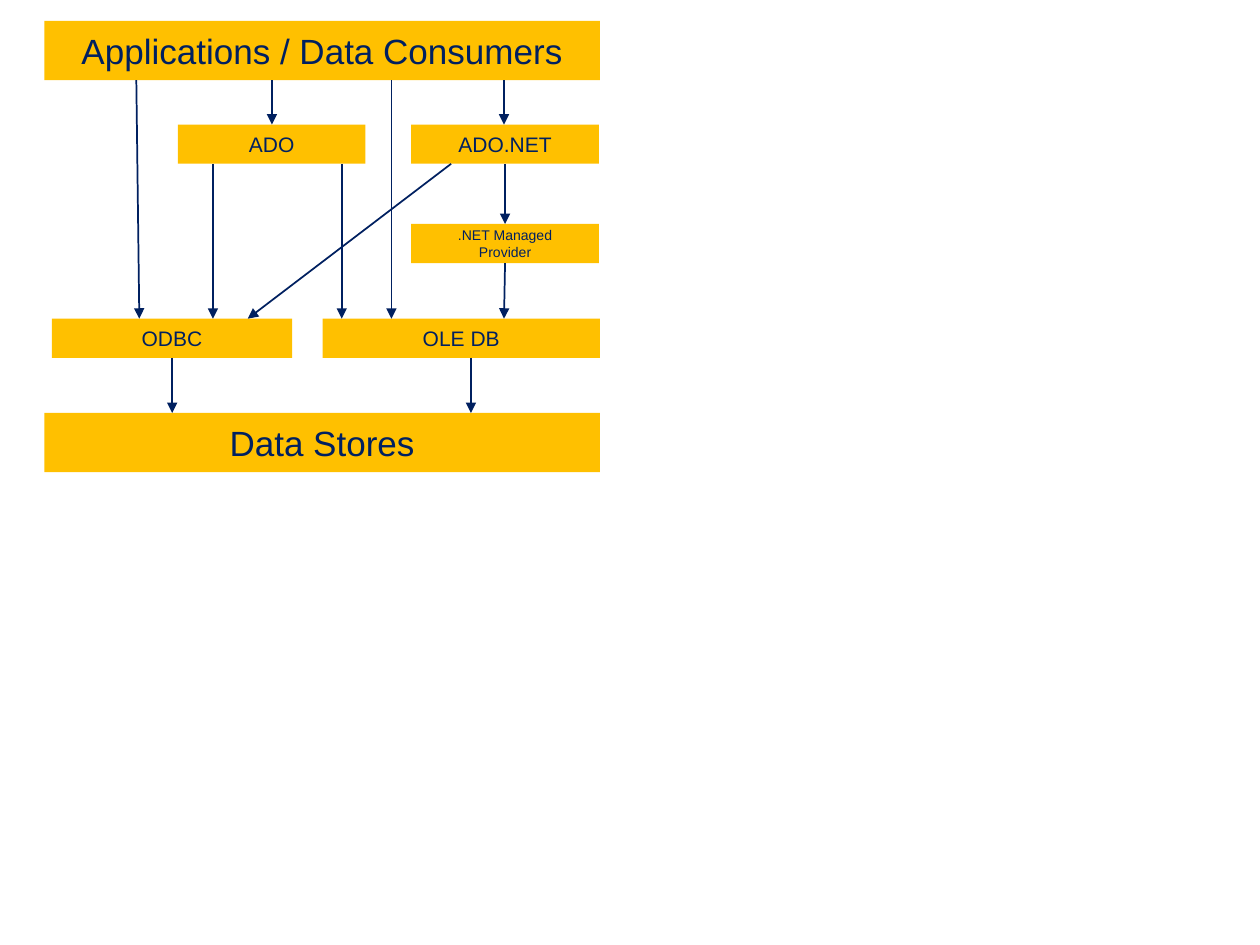
from pptx import Presentation
from pptx.dml.color import RGBColor
from pptx.enum.shapes import MSO_CONNECTOR, MSO_SHAPE
from pptx.enum.text import MSO_ANCHOR, PP_ALIGN
from pptx.oxml.ns import qn
from pptx.util import Pt
from lxml.etree import SubElement

AMBER = RGBColor(0xFF, 0xC0, 0x00)
NAVY = RGBColor(0x00, 0x20, 0x60)

deck = Presentation()
deck.slide_width, deck.slide_height = Pt(720), Pt(540)
page = deck.slides.add_slide(deck.slide_layouts[6])

# Rows of the diagram: top and bottom edges
BAR, BOX = 33.8, 22.4
APPS, ADO, PROVIDER, DRIVERS, STORES = 12, 71.2, 128, 182.1, 236
APPS_END, ADO_END = APPS + BAR, ADO + BOX
PROVIDER_END, DRIVERS_END = PROVIDER + BOX, DRIVERS + BOX

# Boxes: text, left, top, width, height, font size
boxes = [
    ("Applications / Data Consumers", 25.4, APPS, 317.4, BAR, 20),
    ("ADO", 101.6, ADO, 107.3, BOX, 12),
    ("ADO.NET", 235, ADO, 107.3, BOX, 12),
    ("ODBC", 29.6, DRIVERS, 137.4, BOX, 12),
    ("OLE DB", 184.4, DRIVERS, 158.4, BOX, 12),
    (".NET Managed\nProvider", 235, PROVIDER, 107.3, BOX, 8),
    ("Data Stores", 25.4, STORES, 317.4, BAR, 20),
]
frame_format = {
    "margin_left": 0, "margin_top": 0, "margin_right": 0, "margin_bottom": 0,
    "vertical_anchor": MSO_ANCHOR.MIDDLE, "word_wrap": True,
}
for text, left, top, width, height, size in boxes:
    box = page.shapes.add_shape(
        MSO_SHAPE.RECTANGLE, Pt(left), Pt(top), Pt(width), Pt(height))
    box.shadow.inherit = False
    box.fill.solid()
    box.fill.fore_color.rgb = AMBER
    box.line.fill.background()
    frame = box.text_frame
    for name, value in frame_format.items():
        setattr(frame, name, value)
    frame.text = text
    for para in frame.paragraphs:
        para.alignment = PP_ALIGN.CENTER
        for span in para.runs:
            span.font.name = "Arial"
            span.font.size = Pt(size)
            span.font.color.rgb = NAVY

# Arrows: start x, start y, end x, end y
arrows = [
    (77.9, APPS_END, 79.6, DRIVERS),
    (155.4, APPS_END, 155.4, ADO),
    (121.7, ADO_END, 121.7, DRIVERS),
    (195.3, ADO_END, 195.3, DRIVERS),
    (288, APPS_END, 288, ADO),
    (223.7, APPS_END, 223.7, DRIVERS),
    (288.6, ADO_END, 288.6, PROVIDER),
    (257.8, ADO_END, 141.6, DRIVERS),
    (288.6, PROVIDER_END, 288, DRIVERS),
    (98.4, DRIVERS_END, 98.4, STORES),
    (269.1, DRIVERS_END, 269.1, STORES),
]
for ends in arrows:
    arrow = page.shapes.add_connector(
        MSO_CONNECTOR.STRAIGHT, *[Pt(end) for end in ends])
    arrow.line.color.rgb = NAVY
    arrow.line.width = Pt(1)
    SubElement(arrow.line._get_or_add_ln(), qn("a:tailEnd"), type="triangle")
    SubElement(arrow._element.spPr, qn("a:effectLst"))

deck.save("out.pptx")
